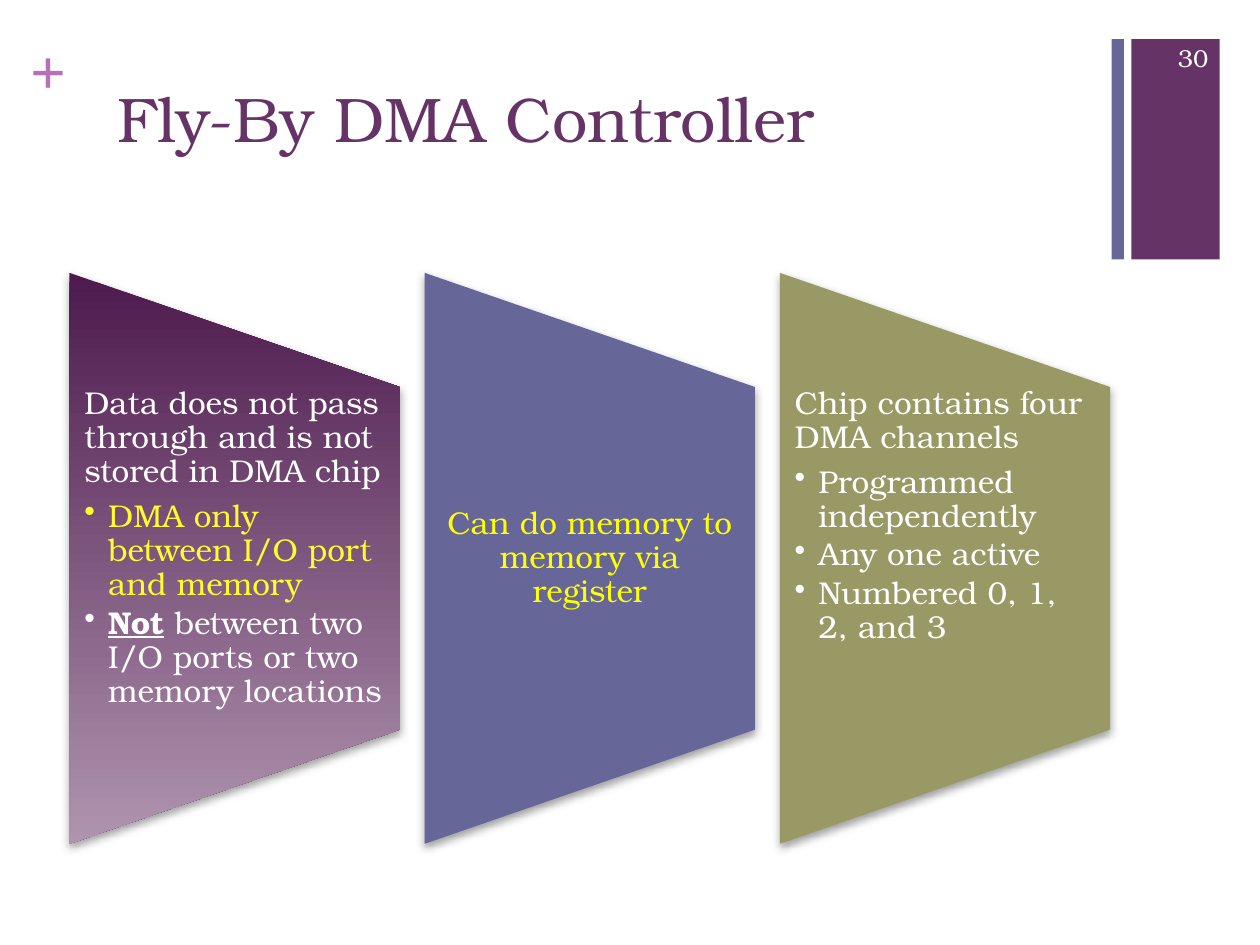
from lxml import etree
from pptx import Presentation
from pptx import util as u
from pptx.dml.color import RGBColor
from pptx.enum import shapes, text
from pptx.oxml.ns import qn

FONT = "TeX Gyre Bonum"
COLOURS = {
    "plum": "663366", "slate": "666699", "olive": "999966",
    "plum_dark": "4D1A4D", "plum_light": "AF94AF", "orchid": "B870B8",
    "white": "FFFFFF", "lemon": "FEFB31", "yellow": "FFFF00",
    "shadow": "808080",
}
PANEL_LEFT, PANEL_TOP, PANEL_STEP = 1.4, 5.5, 7.16
PANEL_WIDTH, PANEL_HEIGHT = 6.66, 11.51
TEXT_TOP, TEXT_HEIGHT = 7.8, 6.91

# Each panel: fill, heading, heading colour, bullets of (bold lead, text, colour)
PANELS = [
    ("plum", "Data does not pass through and is not stored in DMA chip", "white",
     [("", "DMA only between I/O port and memory", "lemon"),
      ("Not", " between two I/O ports or two memory locations", "white")]),
    ("slate", "Can do memory to memory via register", "yellow", []),
    ("olive", "Chip contains four DMA channels", "white",
     [("", "Programmed independently", "white"),
      ("", "Any one active", "white"),
      ("", "Numbered 0, 1, 2, and 3", "white")]),
]


def rgb(name):
    return RGBColor.from_string(COLOURS[name])


def lengths(*values):
    return [u.Cm(value) for value in values]


def format_span(span, size, colour, font=FONT, bold=False):
    span.font.size = u.Pt(size)
    span.font.name = font
    span.font.bold = bold
    span.font.color.rgb = rgb(colour)


def add_box(page, place, margins, anchor=text.MSO_ANCHOR.TOP):
    """Add a wrapping text box and return its text frame."""
    frame = page.shapes.add_textbox(*lengths(*place)).text_frame
    frame.word_wrap = True
    frame.vertical_anchor = anchor
    frame.margin_left = frame.margin_right = u.Cm(margins[0])
    frame.margin_top = frame.margin_bottom = u.Cm(margins[1])
    return frame


def add_label(page, place, margins, words, size, colour, font=FONT, bold=False,
              align=text.PP_ALIGN.LEFT, anchor=text.MSO_ANCHOR.TOP):
    para = add_box(page, place, margins, anchor).paragraphs[0]
    para.text = words
    para.alignment = align
    format_span(para.runs[0], size, colour, font, bold)


def add_block(page, kind, place, colour):
    shape = page.shapes.add_shape(kind, *lengths(*place))
    shape.shadow.inherit = False
    shape.fill.solid()
    shape.fill.fore_color.rgb = rgb(colour)
    shape.line.fill.background()
    return shape


def add_soft_shadow(shape):
    effects = shape.element.spPr.find(qn("a:effectLst"))
    shadow = etree.SubElement(
        effects, qn("a:outerShdw"), blurRad=str(u.Pt(5)), dist=str(u.Pt(2)),
        dir="5400000", rotWithShape="0")
    colour = etree.SubElement(shadow, qn("a:srgbClr"), val=COLOURS["shadow"])
    etree.SubElement(colour, qn("a:alpha"), val="75000")


def shade_downwards(shape, first, last):
    """Fade from top to bottom of the page, whatever the shape's rotation."""
    shape.fill.gradient()
    for stop, colour, position in zip(shape.fill.gradient_stops, (first, last), (0, 1)):
        stop.color.rgb = rgb(colour)
        stop.position = position
    shape.fill.gradient_angle = 270
    shape.element.spPr.find(qn("a:gradFill")).set("rotWithShape", "0")


def space_para(para, after):
    para.line_spacing = 0.9
    para.space_after = u.Pt(after)


def add_bullet(frame, lead, words, colour):
    para = frame.add_paragraph()
    para.level = 1
    space_para(para, 2.7)
    if lead:
        span = para.add_run()
        span.text = lead
        format_span(span, 18, colour, bold=True)
        span.font.underline = True
    span = para.add_run()
    span.text = words
    format_span(span, 18, colour)
    props = para._p.get_or_add_pPr()
    props.set("marL", str(u.Cm(0.48)))
    props.set("indent", str(-u.Cm(0.48)))
    etree.SubElement(props, qn("a:buChar"), char="•")


def add_panel(page, left, fill, heading, colour, bullets):
    # The trapezoid lies on its side, so its frame is turned about the centre
    shift = (PANEL_HEIGHT - PANEL_WIDTH) / 2
    shape = add_block(page, shapes.MSO_SHAPE.FLOWCHART_MANUAL_OPERATION,
                      (left - shift, PANEL_TOP + shift, PANEL_HEIGHT, PANEL_WIDTH), fill)
    shape.rotation = 270
    add_soft_shadow(shape)
    if fill == "plum":
        shade_downwards(shape, "plum_dark", "plum_light")

    # A heading without bullets stands in the middle
    anchor = text.MSO_ANCHOR.TOP if bullets else text.MSO_ANCHOR.MIDDLE
    frame = add_box(page, (left, TEXT_TOP, PANEL_WIDTH, TEXT_HEIGHT), (0.3, 0), anchor)
    para = frame.paragraphs[0]
    para.text = heading
    para.alignment = text.PP_ALIGN.LEFT if bullets else text.PP_ALIGN.CENTER
    space_para(para, 6.3)
    format_span(para.runs[0], 18, colour)
    for bullet in bullets:
        add_bullet(frame, *bullet)


def set_title(page, words):
    title = page.shapes.title
    title.left, title.top, title.width, title.height = lengths(2.11, 1.47, 20.98, 3.1)
    frame = title.text_frame
    frame.text = words
    frame.vertical_anchor = text.MSO_ANCHOR.TOP
    para = frame.paragraphs[0]
    para.alignment = text.PP_ALIGN.LEFT
    format_span(para.runs[0], 36, "plum")


def main():
    deck = Presentation()
    deck.slide_width, deck.slide_height = lengths(25.4, 19.05)
    page = deck.slides.add_slide(deck.slide_layouts[5])

    # Corner decoration
    rectangle = shapes.MSO_SHAPE.RECTANGLE
    add_block(page, rectangle, (22.81, 0.79, 1.78, 4.44), "plum")
    add_block(page, rectangle, (22.41, 0.79, 0.25, 4.44), "slate")
    add_label(page, (0.61, 0.64, 0.74, 1.55), (0, 0), "+", 36, "orchid",
              font="Times New Roman", bold=True)

    set_title(page, "Fly-By DMA Controller")

    # Three panels at equal steps
    for index, panel in enumerate(PANELS):
        add_panel(page, PANEL_LEFT + index * PANEL_STEP, *panel)

    # Page number
    add_label(page, (23.06, 0.66, 1.55, 1.02), (0.25, 0.13), "30", 14, "white",
              align=text.PP_ALIGN.RIGHT, anchor=text.MSO_ANCHOR.MIDDLE)

    deck.save("out.pptx")


if __name__ == "__main__":
    main()
